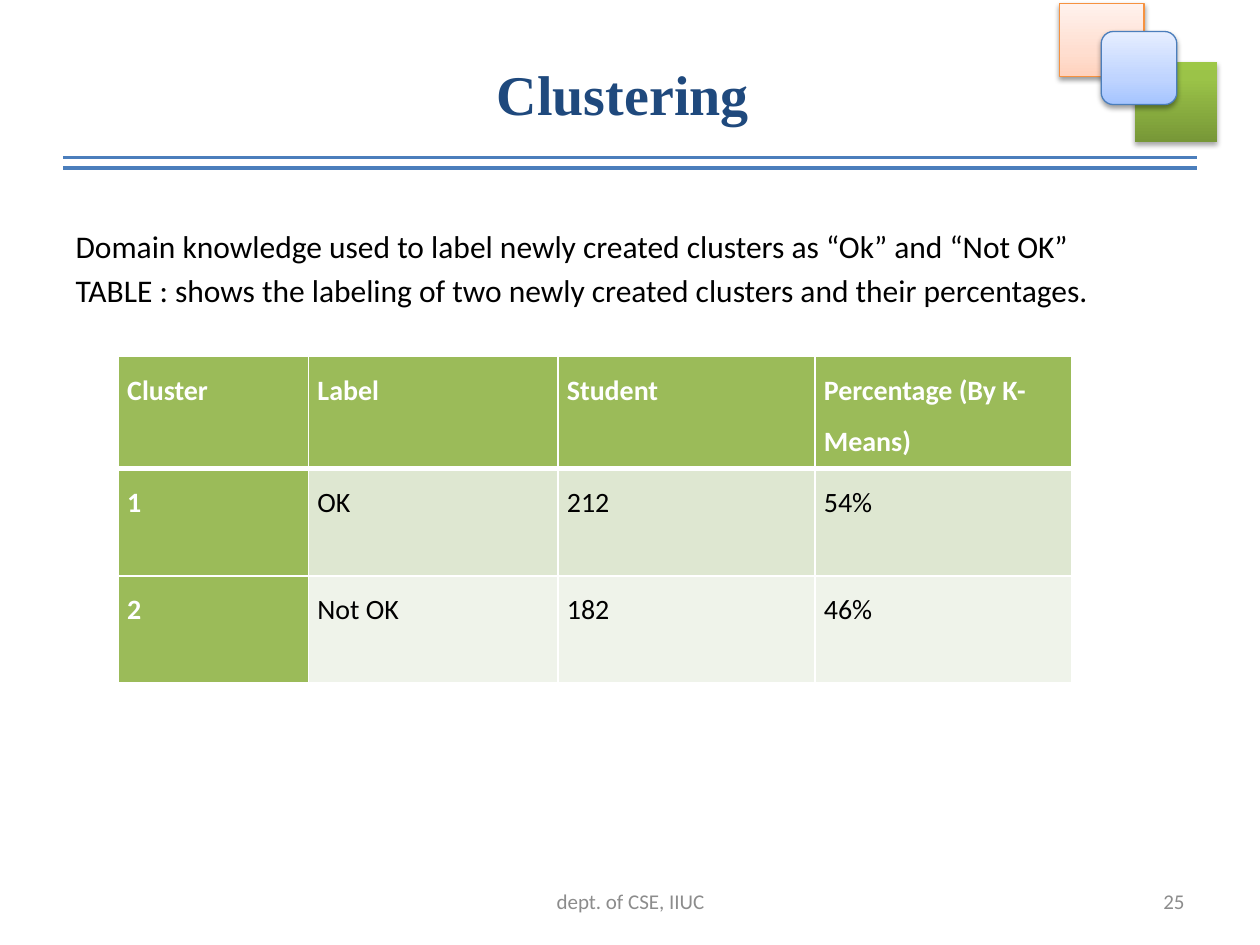
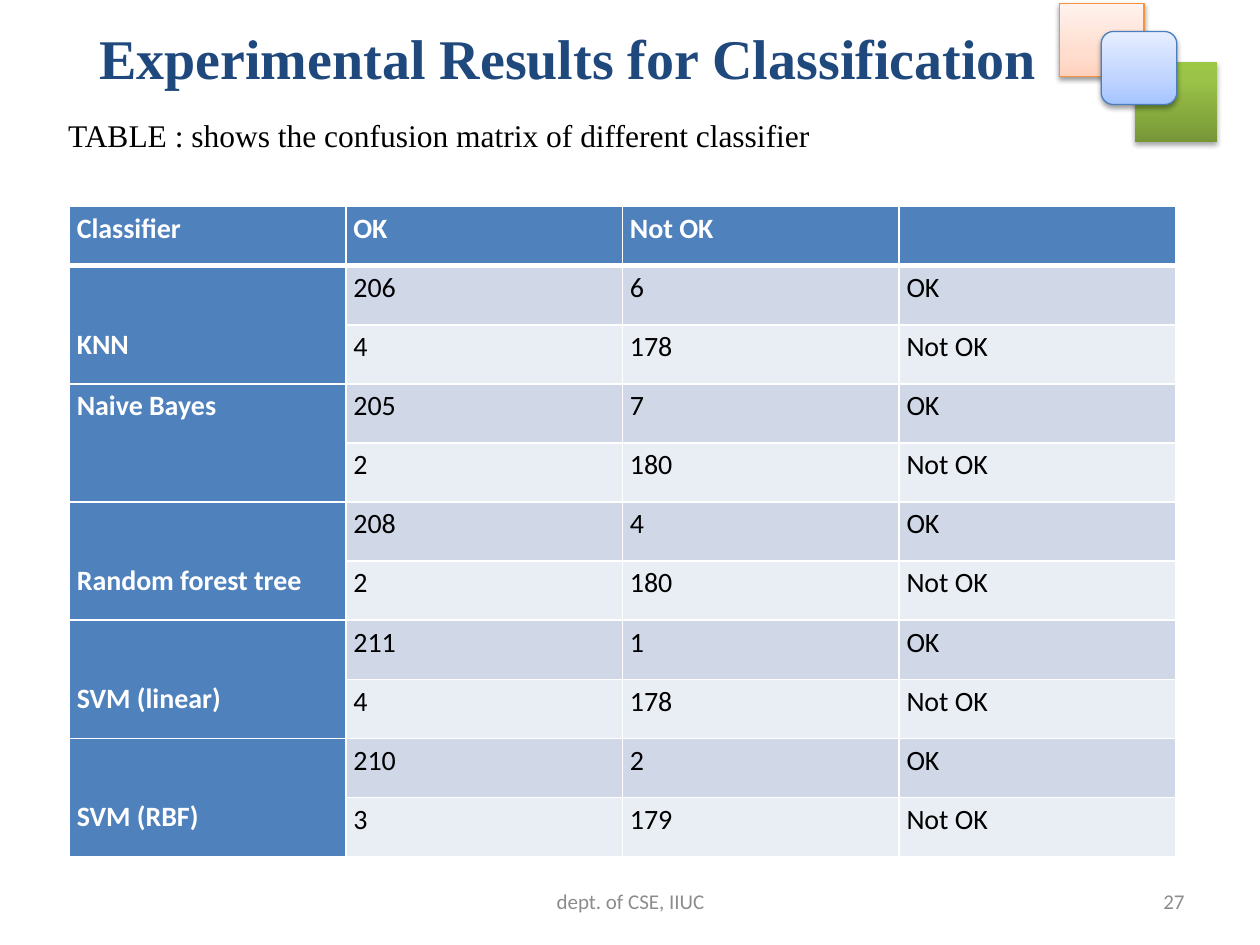
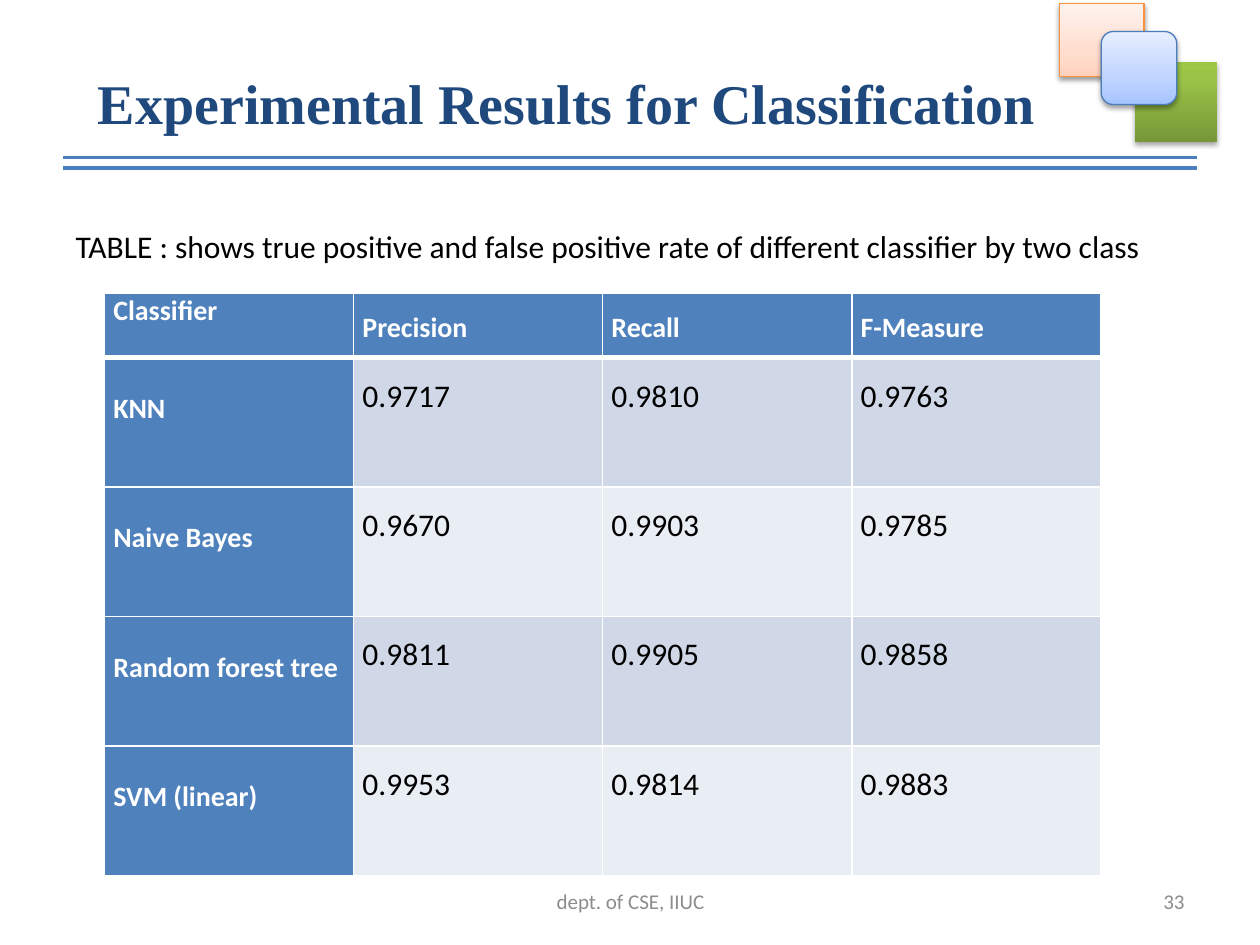
from dataclasses import dataclass
from typing import NamedTuple, Optional

import pptx
import pptx.dml.color
import pptx.enum.shapes
import pptx.enum.text
import pptx.oxml
import pptx.oxml.ns
import pptx.util
from lxml import etree

ALIGN = pptx.enum.text.PP_ALIGN
ANCHOR = pptx.enum.text.MSO_ANCHOR
SHAPES = pptx.enum.shapes.MSO_SHAPE
qn = pptx.oxml.ns.qn

GRID_COLUMNS, GRID_ROWS = 100, 75
SLIDE_WIDTH, SLIDE_HEIGHT = pptx.util.Inches(10), pptx.util.Inches(7.5)


@dataclass(frozen=True)
class Theme:
    serif: str = "Times New Roman"
    sans: str = "Calibri"
    title: str = "1F497D"
    text: str = "000000"
    light: str = "FFFFFF"
    footer: str = "8C8C8C"
    rule: str = "4B7EBC"
    title_size: float = 32
    body_size: float = 18
    cell_size: float = 16
    footer_size: float = 12
    rule_width: float = 2.25
    border_width: float = 1
    header_border_width: float = 3


THEME = Theme()


class Box(NamedTuple):
    """A rectangle in grid columns and rows."""
    left: float
    top: float
    width: float
    height: float


class Palette(NamedTuple):
    accent: str
    odd_row: str
    even_row: str


GREEN = Palette("9BBB59", "DEE7D1", "EFF3EA")
BLUE = Palette("4F81BD", "D0D8E8", "E9EDF4")


class Tile(NamedTuple):
    kind: int
    box: Box
    stops: tuple
    outline: Optional[str]
    shadow_alpha: int
    shadow_distance: float


TILES = (
    Tile(SHAPES.RECTANGLE, Box(84.1, 0.3, 6.7, 5.8),
         ((0, "FFD2BD"), (35, "FFDED0"), (100, "FFF2ED")), "F69240", 38, 1.6),
    Tile(SHAPES.RECTANGLE, Box(90.1, 4.9, 6.5, 6.4),
         ((0, "779737"), (80, "9BC348"), (100, "9DC746")), None, 35, 1.8),
    Tile(SHAPES.ROUNDED_RECTANGLE, Box(87.4, 2.5, 6, 5.8),
         ((0, "A4C4FF"), (35, "BFD4FF"), (100, "E6EEFF")), THEME.rule, 38, 1.6),
)
RULE_ROWS = (12.5, 13.3)


@dataclass(frozen=True)
class DataTable:
    """Cells of None continue the cell above; label_drops lower the first column's text."""
    left: float
    top: float
    widths: tuple
    heights: tuple
    palette: Palette
    rows: tuple
    label_drops: tuple
    inset: float = 0.7
    line_spacing: float = 1.5
    value_size: float = THEME.cell_size
    tight_labels: bool = False


@dataclass(frozen=True)
class Page:
    number: int
    title: str
    title_box: Box
    body: tuple
    body_box: Box
    table: DataTable
    body_font: str = THEME.sans
    has_rules: bool = True


def across(columns: float) -> int:
    return round(SLIDE_WIDTH * columns / GRID_COLUMNS)


def down(rows: float) -> int:
    return round(SLIDE_HEIGHT * rows / GRID_ROWS)


def emu(box: Box) -> tuple:
    return across(box.left), down(box.top), across(box.width), down(box.height)


def rgb(value: str) -> pptx.dml.color.RGBColor:
    return pptx.dml.color.RGBColor.from_string(value)


def set_font(para, name: str, size: float, color: str, bold: bool = False) -> None:
    para.font.name = name
    para.font.size = pptx.util.Pt(size)
    para.font.bold = bold
    para.font.color.rgb = rgb(color)


def add_color(parent, value: str):
    color = etree.SubElement(parent, qn("a:srgbClr"))
    color.set("val", value)
    return color


def draw_tile(slide, tile: Tile) -> None:
    shape = slide.shapes.add_shape(tile.kind, *emu(tile.box))
    shape.fill.gradient()
    shape.fill.gradient_angle = 90
    properties = shape._element.spPr
    stops = properties.find(".//" + qn("a:gsLst"))
    for stop in list(stops):
        stops.remove(stop)
    for position, color in tile.stops:
        add_color(etree.SubElement(stops, qn("a:gs"), pos=str(position * 1000)), color)
    if tile.outline:
        shape.line.color.rgb = rgb(tile.outline)
        shape.line.width = pptx.util.Pt(0.75)
    else:
        shape.line.fill.background()
    shape.shadow.inherit = False
    shadow = etree.SubElement(
        properties.find(qn("a:effectLst")), qn("a:outerShdw"),
        blurRad=str(pptx.util.Pt(3.1)), dist=str(pptx.util.Pt(tile.shadow_distance)),
        dir="5400000", rotWithShape="0")
    color = add_color(shadow, THEME.text)
    etree.SubElement(color, qn("a:alpha"), val=str(tile.shadow_alpha * 1000))


def draw_rule(slide, row: float) -> None:
    rule = slide.shapes.add_connector(
        pptx.enum.shapes.MSO_CONNECTOR.STRAIGHT, across(5), down(row), across(95), down(row))
    rule.line.color.rgb = rgb(THEME.rule)
    rule.line.width = pptx.util.Pt(THEME.rule_width)
    etree.SubElement(rule._element.spPr, qn("a:effectLst"))


def draw_footer(slide, text: str, box: Box, alignment) -> None:
    frame = slide.shapes.add_textbox(*emu(box)).text_frame
    frame.word_wrap = True
    frame.vertical_anchor = ANCHOR.MIDDLE
    para = frame.paragraphs[0]
    para.text = text
    para.alignment = alignment
    set_font(para, THEME.sans, THEME.footer_size, THEME.footer)


def place(placeholder, box: Box, anchor):
    placeholder.left, placeholder.top, placeholder.width, placeholder.height = emu(box)
    frame = placeholder.text_frame
    frame.word_wrap = True
    frame.auto_size = pptx.enum.text.MSO_AUTO_SIZE.SHAPE_TO_FIT_TEXT
    frame.vertical_anchor = anchor
    return frame


def fill_title(slide, page: Page) -> None:
    para = place(slide.shapes.title, page.title_box, ANCHOR.MIDDLE).paragraphs[0]
    para.text = page.title
    para.alignment = ALIGN.CENTER
    set_font(para, THEME.serif, THEME.title_size, THEME.title, bold=True)


def fill_body(slide, page: Page) -> None:
    frame = place(slide.placeholders[1], page.body_box, ANCHOR.TOP)
    for index, text in enumerate(page.body):
        para = frame.add_paragraph() if index else frame.paragraphs[0]
        para.text = text
        para.alignment = ALIGN.JUSTIFY
        para.space_before = pptx.util.Pt(3.6 if index else 0)
        properties = para._p.get_or_add_pPr()
        properties.set("marL", "0")
        properties.set("indent", "0")
        etree.SubElement(properties, qn("a:buNone"))
        set_font(para, page.body_font, THEME.body_size, THEME.text)


def set_borders(cell, row: int) -> None:
    thick, thin = THEME.header_border_width, THEME.border_width
    widths = {"a:lnL": thin, "a:lnR": thin,
              "a:lnT": thick if row == 1 else thin,
              "a:lnB": thick if row == 0 else thin}
    properties = cell._tc.get_or_add_tcPr()
    for index, (tag, width) in enumerate(widths.items()):
        border = etree.Element(qn(tag), w=str(pptx.util.Pt(width)))
        add_color(etree.SubElement(border, qn("a:solidFill")), THEME.light)
        properties.insert(index, border)


def fill_cell(cell, table: DataTable, row: int, column: int) -> None:
    is_label = column == 0
    is_heading = is_label or row == 0
    palette = table.palette
    band = palette.odd_row if row % 2 else palette.even_row
    cell.fill.solid()
    cell.fill.fore_color.rgb = rgb(palette.accent if is_heading else band)
    set_borders(cell, row)
    cell.margin_left = cell.margin_right = across(table.inset)
    cell.margin_top = down(table.label_drops[row]) if is_label else 0
    cell.margin_bottom = 0
    cell.vertical_anchor = ANCHOR.TOP
    para = cell.text_frame.paragraphs[0]
    para.text = table.rows[row][column] or ""
    if not (is_label and table.tight_labels):
        para.line_spacing = table.line_spacing
        para.space_after = pptx.util.Pt(10)
    set_font(para, THEME.sans, THEME.cell_size if is_heading else table.value_size,
             THEME.light if is_heading else THEME.text, bold=is_heading)


def draw_table(slide, table: DataTable) -> None:
    box = Box(table.left, table.top, sum(table.widths), sum(table.heights))
    grid = slide.shapes.add_table(len(table.heights), len(table.widths), *emu(box)).table
    for column, width in enumerate(table.widths):
        grid.columns[column].width = across(width)
    for row, height in enumerate(table.heights):
        grid.rows[row].height = down(height)
        for column, text in enumerate(table.rows[row]):
            fill_cell(grid.cell(row, column), table, row, column)
            if text is None:
                grid.cell(row - 1, column).merge(grid.cell(row, column))


def draw_page(deck, page: Page) -> None:
    slide = deck.slides.add_slide(deck.slide_layouts[1])
    if page.has_rules:
        for row in RULE_ROWS:
            draw_rule(slide, row)
    for tile in TILES:
        draw_tile(slide, tile)
    draw_footer(slide, "dept. of CSE, IIUC", Box(34.2, 69.5, 31.7, 4), ALIGN.CENTER)
    draw_footer(slide, str(page.number), Box(71.7, 69.5, 23.3, 4), ALIGN.RIGHT)
    fill_title(slide, page)
    fill_body(slide, page)
    draw_table(slide, page.table)


CLUSTERS = DataTable(
    left=9.4, top=28.3, widths=(15.1, 19.8, 20.4, 20.4), heights=(8.9, 8.5, 8.5),
    palette=GREEN, label_drops=(0, 0, 0),
    rows=(("Cluster", "Label", "Student", "Percentage (By K-Means)"),
          ("1", "OK", "212", "54%"),
          ("2", "Not OK", "182", "46%")))

CONFUSION = DataTable(
    left=5.5, top=16.4, widths=(21.95,) * 4, heights=(4.69,) * 11,
    palette=BLUE, inset=0.6, line_spacing=1.15,
    label_drops=(0, 4.5, 0, 0, 0, 4.5, 0, 4.5, 0, 4.5, 0),
    rows=(("Classifier", "OK", "Not OK", ""),
          ("KNN", "206", "6", "OK"),
          (None, "4", "178", "Not OK"),
          ("Naive Bayes", "205", "7", "OK"),
          (None, "2", "180", "Not OK"),
          ("Random forest tree", "208", "4", "OK"),
          (None, "2", "180", "Not OK"),
          ("SVM (linear)", "211", "1", "OK"),
          (None, "4", "178", "Not OK"),
          ("SVM (RBF)", "210", "2", "OK"),
          (None, "3", "179", "Not OK")))

SCORES = DataTable(
    left=8.3, top=23.3, widths=(19.77,) * 4, heights=(5.1,) + (10.27,) * 4,
    palette=BLUE, value_size=THEME.body_size, tight_labels=True,
    label_drops=(0,) + (2.7,) * 4,
    rows=(("Classifier", "Precision", "Recall", "F-Measure"),
          ("KNN", "0.9717", "0.9810", "0.9763"),
          ("Naive Bayes", "0.9670", "0.9903", "0.9785"),
          ("Random forest tree", "0.9811", "0.9905", "0.9858"),
          ("SVM (linear)", "0.9953", "0.9814", "0.9883")))

RESULTS_TITLE = "Experimental Results for Classification"
PAGES = (
    Page(25, "Clustering ", Box(5, 4.2, 90, 6.4),
         ("Domain knowledge used to label newly created clusters as “Ok” and “Not OK”",
          "TABLE : shows the labeling of two newly created clusters and their percentages."),
         Box(5, 17.5, 90, 7.7), CLUSTERS),
    Page(27, RESULTS_TITLE, Box(0.1, 1.3, 90, 6.4),
         ("TABLE : shows the confusion matrix of different classifier",),
         Box(4.4, 8.7, 90, 4), CONFUSION, body_font=THEME.serif, has_rules=False),
    Page(33, RESULTS_TITLE, Box(0, 4.9, 90, 6.4),
         ("TABLE : shows true positive and false positive rate of different classifier"
          " by two class",),
         Box(5, 17.5, 90, 4), SCORES),
)


def main() -> None:
    deck = pptx.Presentation()
    deck.slide_width, deck.slide_height = SLIDE_WIDTH, SLIDE_HEIGHT
    for page in PAGES:
        draw_page(deck, page)
    deck.save("out.pptx")


if __name__ == "__main__":
    main()
